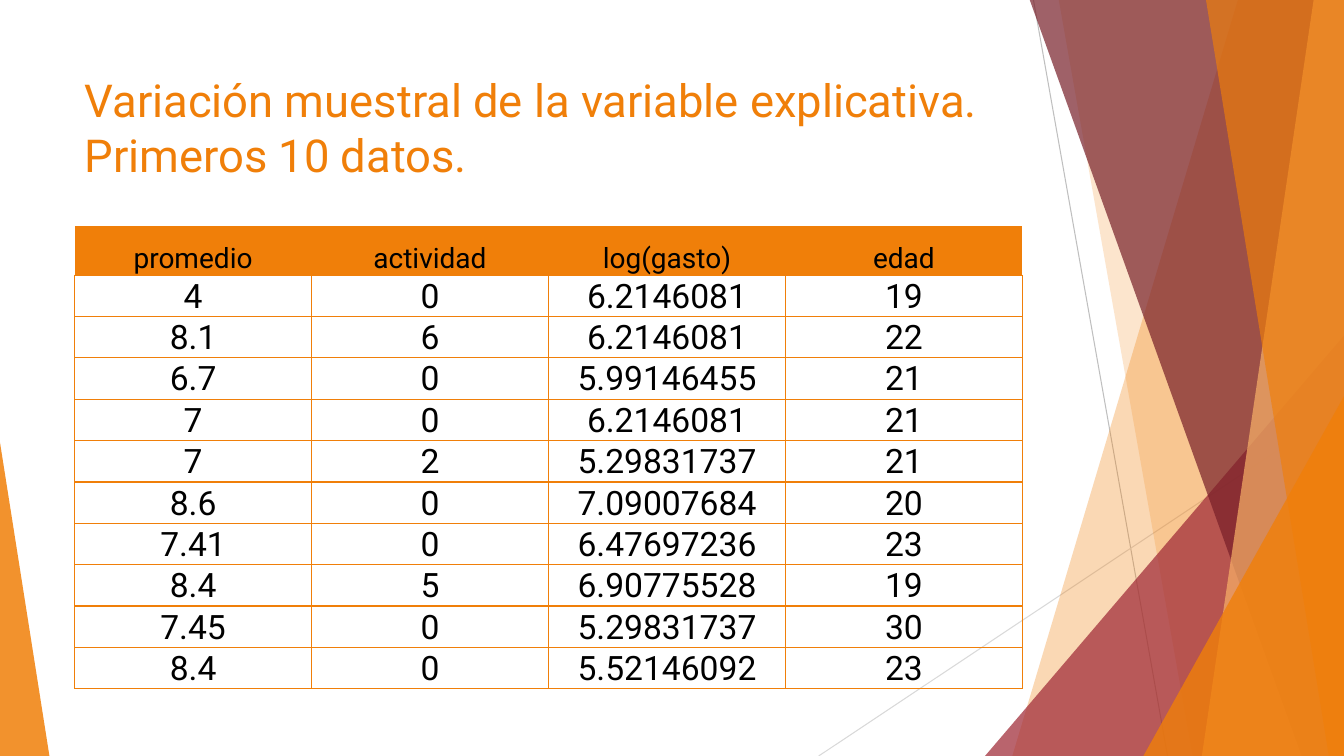
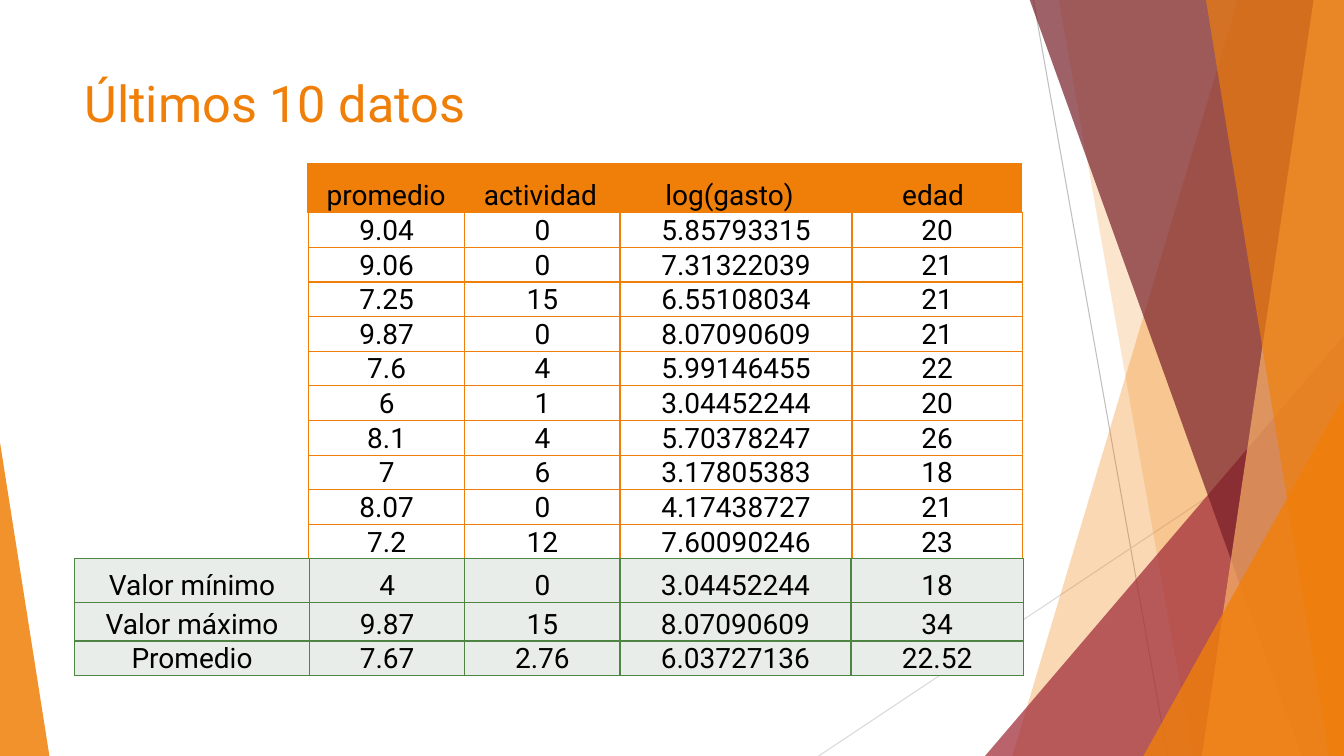
import lxml.etree
import pptx
import pptx.dml.color
import pptx.enum.shapes
import pptx.enum.text
import pptx.oxml.ns
import pptx.util

Inches = pptx.util.Inches
qn = pptx.oxml.ns.qn

COLORS = {
    "orange": "F07F09", "peach": "F9B268", "red": "9F2936", "wine": "771F28",
    "green": "4E8542", "pale": "E9EDE9", "text": "000000",
    "gray": "BFBFBF", "light": "D9D9D9",
}
FONT = "Roboto"
WIDTH, HEIGHT, TOP = 13.33, 7.5, -0.01
LEFT, CONTENT_WIDTH = 0.74, 9.4
HEADER_HEIGHT = 0.49
NO_STYLE = "{2D5ABB26-0587-4C30-8999-92F81FD0307C}"

# Thin lines: start, end, color
RAYS = [((10.25, 0), (11.58, HEIGHT), "gray"), ((WIDTH, 4.03), (8.12, HEIGHT), "light")]

# Bands reach the right edge: (top x, bottom x, color, opacity)
# Triangles: (left, top, width, apex position, color, opacity)
FACETS = [
    (12.28, 10.04, "orange", 30),
    (10.5, 11.83, "orange", 20),
    (9.77, 3.33, 3.56, 1, "red", 72),
    (10.21, 12.91, "wine", 70),
    (13.03, 11.92, "peach", 70),
    (11.96, 13.18, "orange", 65),
    (11.34, 3.93, 1.99, 1, "orange", 80),
    (0, 4.39, 0.49, 0, "orange", 85),
]

HEADINGS = ["promedio", "actividad", "log(gasto)", "edad"]
FIRST_DATA = [
    ["4", "0", "6.2146081", "19"],
    ["8.1", "6", "6.2146081", "22"],
    ["6.7", "0", "5.99146455", "21"],
    ["7", "0", "6.2146081", "21"],
    ["7", "2", "5.29831737", "21"],
    ["8.6", "0", "7.09007684", "20"],
    ["7.41", "0", "6.47697236", "23"],
    ["8.4", "5", "6.90775528", "19"],
    ["7.45", "0", "5.29831737", "30"],
    ["8.4", "0", "5.52146092", "23"],
]
LAST_DATA = [
    ["9.04", "0", "5.85793315", "20"],
    ["9.06", "0", "7.31322039", "21"],
    ["7.25", "15", "6.55108034", "21"],
    ["9.87", "0", "8.07090609", "21"],
    ["7.6", "4", "5.99146455", "22"],
    ["6", "1", "3.04452244", "20"],
    ["8.1", "4", "5.70378247", "26"],
    ["7", "6", "3.17805383", "18"],
    ["8.07", "0", "4.17438727", "21"],
    ["7.2", "12", "7.60090246", "23"],
]
SUMMARY = [
    ["Valor mínimo", "4", "0", "3.04452244", "18"],
    ["Valor máximo", "9.87", "15", "8.07090609", "34"],
    ["Promedio", "7.67", "2.76", "6.03727136", "22.52"],
]


def rgb(name):
    return pptx.dml.color.RGBColor.from_string(COLORS[name])


def style_font(paragraph, size, color):
    paragraph.font.name = FONT
    paragraph.font.size = pptx.util.Pt(size)
    paragraph.font.color.rgb = rgb(color)


def fill_facet(shape, color, opacity):
    shape.shadow.inherit = False
    shape.fill.solid()
    shape.fill.fore_color.rgb = rgb(color)
    shape.line.fill.background()
    color_element = shape.element.spPr.find(".//" + qn("a:srgbClr"))
    lxml.etree.SubElement(color_element, qn("a:alpha"), val=str(opacity * 1000))


def add_band(slide, top_x, bottom_x):
    corners = [(WIDTH, TOP), (WIDTH, HEIGHT), (bottom_x, HEIGHT)]
    builder = slide.shapes.build_freeform(Inches(top_x), Inches(TOP))
    builder.add_line_segments([(Inches(x), Inches(y)) for x, y in corners], close=True)
    return builder.convert_to_shape()


def add_triangle(slide, left, top, width, apex):
    shape = slide.shapes.add_shape(
        pptx.enum.shapes.MSO_SHAPE.ISOSCELES_TRIANGLE,
        Inches(left), Inches(top), Inches(width), Inches(HEIGHT - top))
    shape.adjustments[0] = apex
    return shape


def add_backdrop(slide):
    for start, end, color in RAYS:
        ray = slide.shapes.add_connector(
            pptx.enum.shapes.MSO_CONNECTOR.STRAIGHT, *map(Inches, start + end))
        ray.line.color.rgb = rgb(color)
        ray.line.width = pptx.util.Pt(0.75)
        lxml.etree.SubElement(ray.element.spPr, qn("a:effectLst"))
    for *geometry, color, opacity in FACETS:
        add_facet = add_band if len(geometry) == 2 else add_triangle
        fill_facet(add_facet(slide, *geometry), color, opacity)


def add_title(slide, text, size):
    box = slide.shapes.add_textbox(
        Inches(LEFT), Inches(0.67), Inches(CONTENT_WIDTH), Inches(1.44))
    box.text_frame.word_wrap = True
    paragraph = box.text_frame.paragraphs[0]
    paragraph.text = text
    style_font(paragraph, size, "orange")


def add_borders(cell, color):
    properties = cell._tc.get_or_add_tcPr()
    for side in ("a:lnL", "a:lnR", "a:lnT", "a:lnB"):
        line = lxml.etree.SubElement(properties, qn(side), w=str(pptx.util.Pt(1)))
        solid = lxml.etree.SubElement(line, qn("a:solidFill"))
        lxml.etree.SubElement(solid, qn("a:srgbClr"), val=COLORS[color])


def style_cell(cell, text, size, fill, border):
    cell.margin_left = cell.margin_right = cell.margin_top = Inches(0.01)
    cell.margin_bottom = 0
    cell.vertical_anchor = pptx.enum.text.MSO_ANCHOR.BOTTOM
    if border:
        add_borders(cell, border)
    if fill:
        cell.fill.solid()
        cell.fill.fore_color.rgb = rgb(fill)
    else:
        cell.fill.background()
    paragraph = cell.text_frame.paragraphs[0]
    paragraph.text = text
    paragraph.alignment = pptx.enum.text.PP_ALIGN.CENTER
    style_font(paragraph, size, "text")


def add_grid(slide, left, top, widths, heights, rows, size=20, fill=None, border=None):
    frame = slide.shapes.add_table(
        len(rows), len(widths), Inches(left), Inches(top),
        Inches(sum(widths)), Inches(sum(heights)))
    table = frame.table
    table.first_row = table.horz_banding = False
    frame.element.find(".//" + qn("a:tableStyleId")).text = NO_STYLE
    for column, width in zip(table.columns, widths):
        column.width = Inches(width)
    for row, height, values in zip(table.rows, heights, rows):
        row.height = Inches(height)
        for cell, text in zip(row.cells, values):
            style_cell(cell, text, size, fill, border)


def add_header(slide, left, bottom, widths):
    add_grid(slide, left, bottom - HEADER_HEIGHT, widths, [HEADER_HEIGHT],
             [HEADINGS], fill="orange")


def start_slide(presentation, title, title_size):
    slide = presentation.slides.add_slide(presentation.slide_layouts[6])
    add_backdrop(slide)
    add_title(slide, title, title_size)
    return slide


def build_first_data(presentation):
    slide = start_slide(
        presentation,
        "Variación muestral de la variable explicativa.\vPrimeros 10 datos.", 32.4)
    top, widths = 2.73, [CONTENT_WIDTH / 4] * 4
    add_grid(slide, LEFT, top, widths, [0.4] * len(FIRST_DATA), FIRST_DATA,
             size=24, border="orange")
    add_header(slide, LEFT, top, widths)


def build_last_data(presentation):
    slide = start_slide(presentation, "Últimos 10 datos", 36)
    top = 2.11
    add_grid(slide, 3.06, top, [1.55, 1.54, 2.3, 1.69], [0.33] * len(LAST_DATA),
             LAST_DATA, border="orange")
    add_header(slide, 3.04, top, [1.58, 1.48, 2.27, 1.77])
    # Summary of the whole sample
    add_grid(slide, LEFT, 5.54, [2.33, 1.54, 1.54, 2.29, 1.71], [0.44, 0.38, 0.33],
             SUMMARY, fill="pale", border="green")


def main():
    presentation = pptx.Presentation()
    presentation.slide_width = Inches(WIDTH)
    presentation.slide_height = Inches(HEIGHT)
    build_first_data(presentation)
    build_last_data(presentation)
    presentation.save("out.pptx")


if __name__ == "__main__":
    main()
